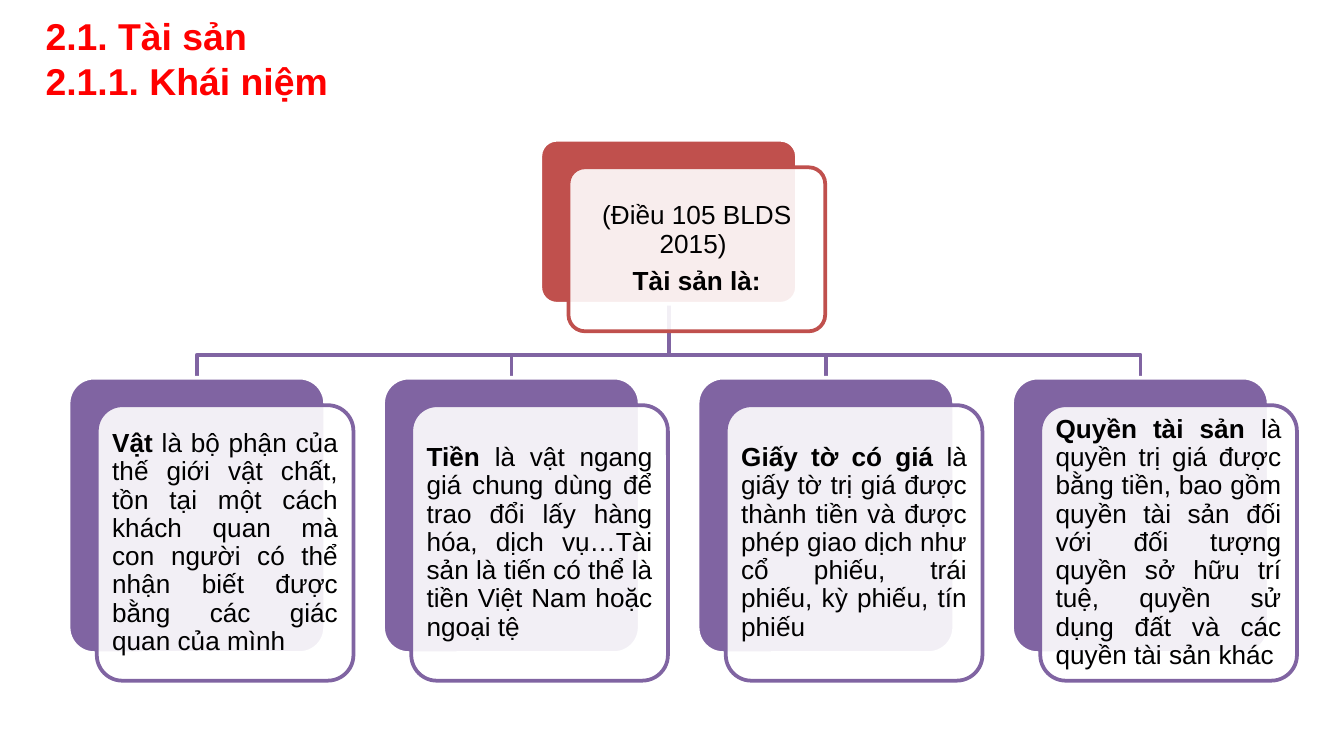
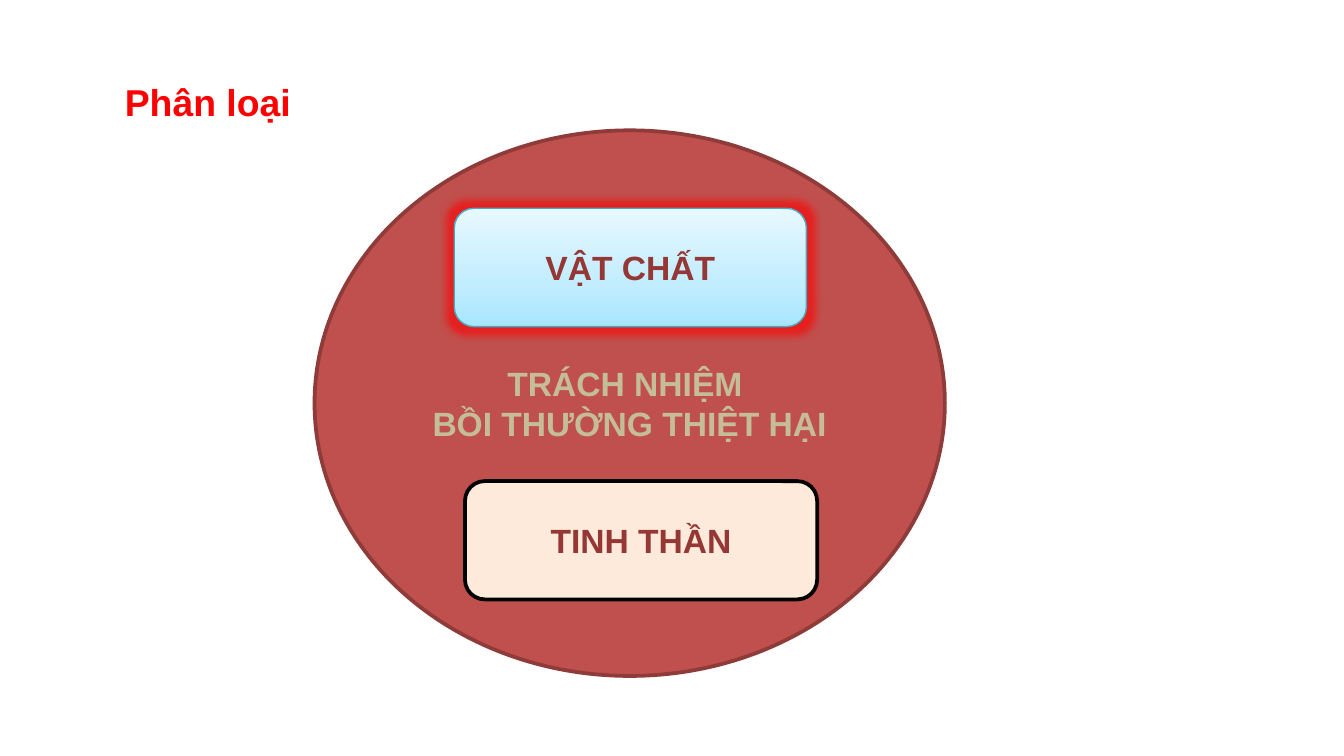
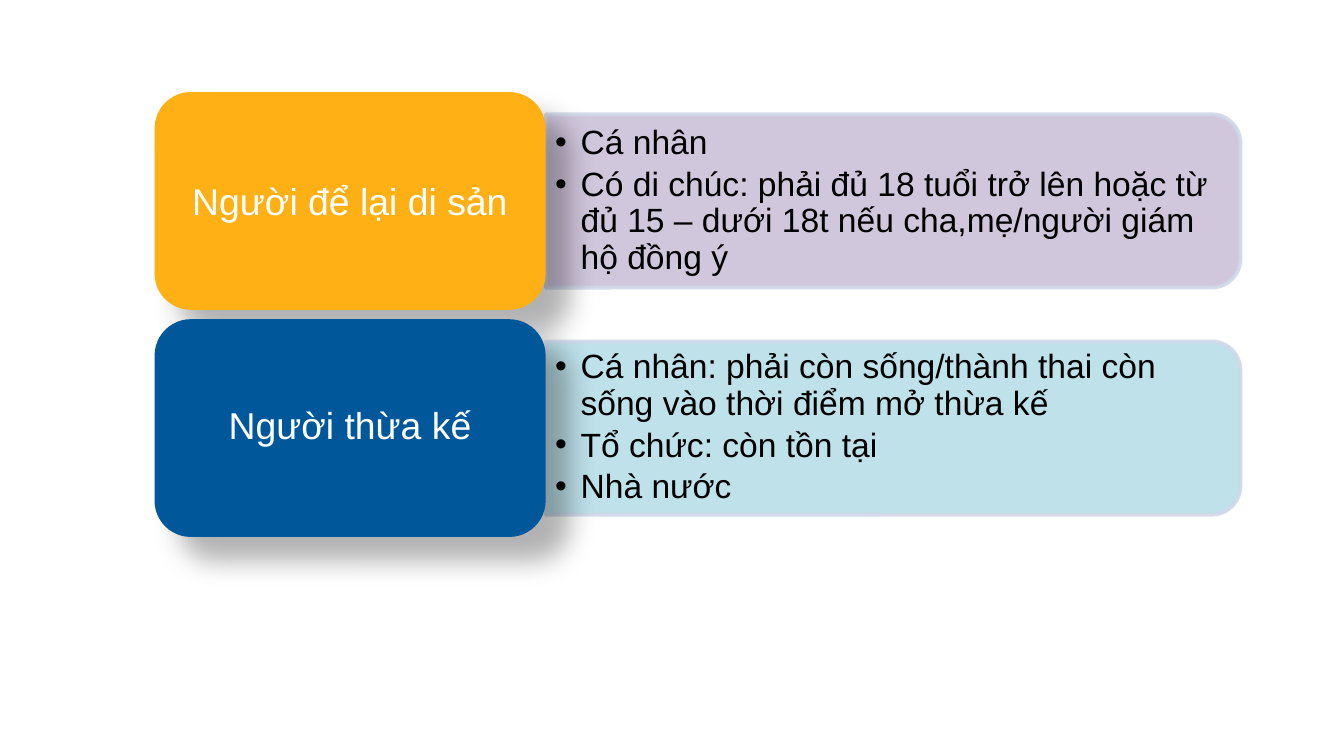
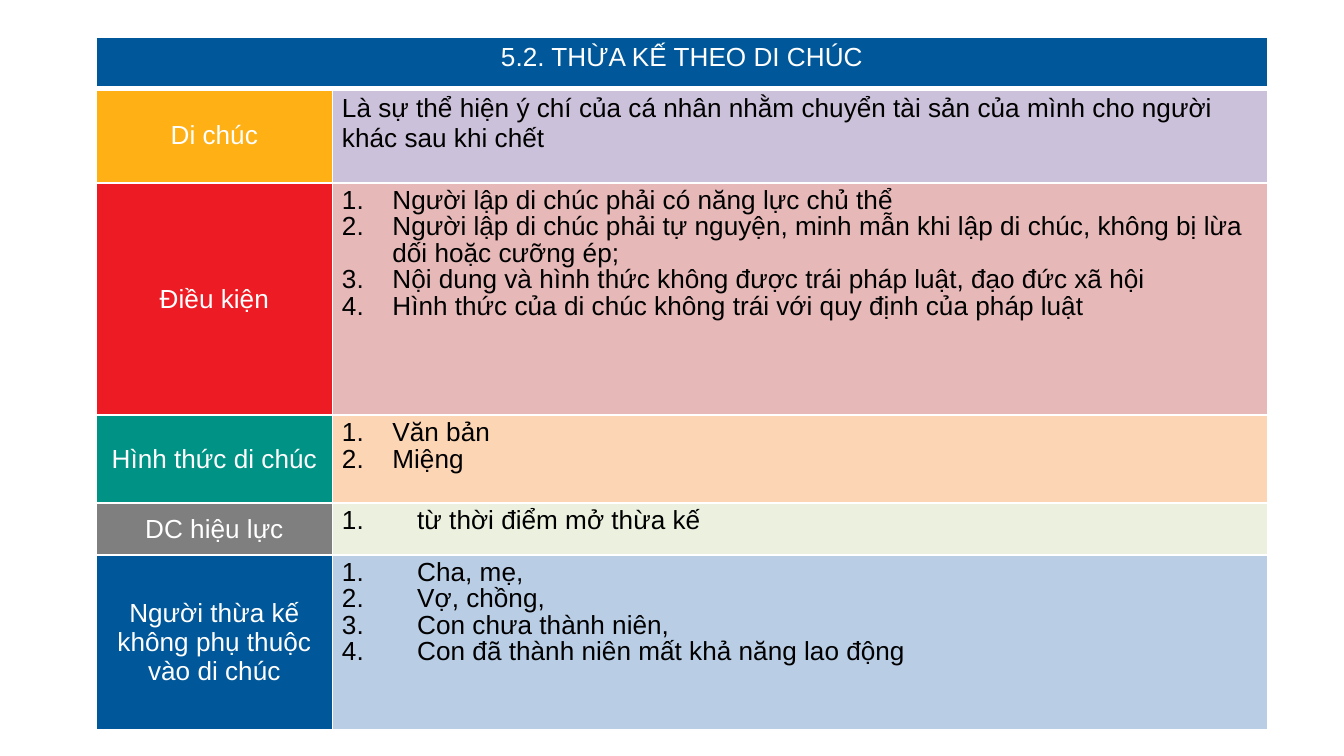
from lxml import etree
from pptx import Presentation
from pptx.dml.color import RGBColor
from pptx.enum.shapes import MSO_SHAPE
from pptx.enum.text import MSO_ANCHOR, PP_ALIGN
from pptx.oxml.ns import qn
from pptx.util import Emu, Pt

ROUND = MSO_SHAPE.ROUNDED_RECTANGLE
ROUND_TOP = MSO_SHAPE.ROUND_2_SAME_RECTANGLE
OVAL = MSO_SHAPE.OVAL
LEFT, CENTER, JUSTIFY = PP_ALIGN.LEFT, PP_ALIGN.CENTER, PP_ALIGN.JUSTIFY
TOP, MIDDLE = MSO_ANCHOR.TOP, MSO_ANCHOR.MIDDLE

EMU_PER_PX = 4572  # 200 px to the inch
FONT = "Arial"
BLACK, WHITE, RED = "000000", "FFFFFF", "FF0000"
BRICK, PURPLE, WINE = "C0504D", "8064A2", "953735"
BLUE, AMBER, LILAC = "00589A", "FFB014", "CCC1DA"


def px(n):
    return Emu(round(n * EMU_PER_PX))


def rgb(value):
    return RGBColor.from_string(value)


def add(parent, tag, **attrs):
    el = etree.SubElement(parent, qn(tag))
    for name, value in attrs.items():
        el.set(name, str(value))
    return el


def add_color(parent, value, alpha=100):
    clr = add(parent, "a:srgbClr", val=value)
    if alpha < 100:
        add(clr, "a:alpha", val=alpha * 1000)


def set_alpha(sp, where, percent):
    clr = sp._element.spPr.find(f"{where}/{qn('a:srgbClr')}")
    add(clr, "a:alpha", val=percent * 1000)


class Deck:
    def __init__(self):
        self.prs = Presentation()
        self.prs.slide_width, self.prs.slide_height = px(2000), px(1125)
        self.s = None

    def new_slide(self):
        self.s = self.prs.slides.add_slide(self.prs.slide_layouts[6])

    def put_paras(self, tf, paras, size=14, color=BLACK, bold=False, align=LEFT,
                  spacing=None, after=None, bullet=None, indent=0, level=0):
        """Each paragraph is a string or a list of (text, bold) runs."""
        for i, para in enumerate(paras):
            p = tf.paragraphs[0] if i == 0 else tf.add_paragraph()
            p.alignment, p.level = align, level
            if spacing:
                p.line_spacing = spacing
            if after:
                p.space_after = Pt(after)
            if bullet:
                pPr = p._p.get_or_add_pPr()
                pPr.set("marL", str(px(indent)))
                pPr.set("indent", str(-px(indent)))
                add_color(add(pPr, "a:buClr"), BLACK)
                add(pPr, "a:buFont", typeface=FONT)
                if bullet == "1.":
                    add(pPr, "a:buAutoNum", type="arabicPeriod")
                else:
                    add(pPr, "a:buChar", char=bullet)
            p.font.name, p.font.size = FONT, Pt(size)
            p.font.color.rgb = rgb(color)
            if isinstance(para, str):
                p.font.bold = bold
                p.text = para
            else:
                for text, run_bold in para:
                    r = p.add_run()
                    r.text, r.font.bold = text, run_bold

    def text(self, x, y, w, h, paras, inset=(20, 10), anchor=TOP, **style):
        tf = self.s.shapes.add_textbox(px(x), px(y), px(w), px(h)).text_frame
        tf.word_wrap, tf.vertical_anchor = True, anchor
        tf.margin_left = tf.margin_right = px(inset[0])
        tf.margin_top = tf.margin_bottom = px(inset[1])
        self.put_paras(tf, paras, **style)

    def title(self, x, y, text, inset=(20, 10)):
        self.text(x, y, 1850, 126, [text], inset, size=20, color=RED, bold=True)

    def shape(self, kind, x, y, w, h, fill, line=None, width=2, adj=None,
              paras=(), **style):
        sp = self.s.shapes.add_shape(kind, px(x), px(y), px(w), px(h))
        sp.shadow.inherit = False
        if adj is not None:
            sp.adjustments[0] = adj
        sp.fill.solid()
        sp.fill.fore_color.rgb = rgb(fill)
        if line:
            sp.line.color.rgb = rgb(line)
            sp.line.width = Pt(width)
        else:
            sp.line.fill.background()
        sp.text_frame.vertical_anchor = MIDDLE
        self.put_paras(sp.text_frame, paras, align=CENTER, **style)
        return sp

    def effect(self, sp, tag, color, alpha, **attrs):
        effects = sp._element.spPr.find(qn("a:effectLst"))
        add_color(add(effects, tag, **attrs), color, alpha)

    def gradient(self, sp, stops):
        sp.fill.gradient()
        sp.fill.gradient_angle = 90
        gs_list = sp._element.spPr.find(f"{qn('a:gradFill')}/{qn('a:gsLst')}")
        for gs in list(gs_list):
            gs_list.remove(gs)
        for pos, color in stops:
            add_color(add(gs_list, "a:gs", pos=pos * 1000), color)

    def polyline(self, points, color, width=2):
        (x, y), *rest = [(px(a), px(b)) for a, b in points]
        builder = self.s.shapes.build_freeform(x, y)
        builder.add_line_segments(rest, close=False)
        sp = builder.convert_to_shape()
        sp.shadow.inherit = False
        sp.fill.background()
        sp.line.color.rgb = rgb(color)
        sp.line.width = Pt(width)

    def card(self, x, y, w, h, color, inset, paras, align):
        """Solid back plate, translucent front plate and its text."""
        self.shape(ROUND, x, y, w, h, color, WHITE, adj=0.1)
        x, y = x + 42, y + 41
        front = self.shape(ROUND, x, y, w, h, WHITE, color, adj=0.1)
        set_alpha(front, qn("a:solidFill"), 90)
        self.text(x + inset, y + inset, w - 2 * inset, h - 2 * inset, paras,
                  (12, 12), MIDDLE, align=align, spacing=0.9, after=5)

    def heir_row(self, y, label, color, tint, items, spacing):
        """Label block with a bullet panel to its right."""
        x, w, h = 812, 1034, 258
        panel_y = y + 33
        # The panel is an upright shape turned by 90 degrees about its centre
        panel = self.shape(ROUND_TOP, x + (w - h) // 2, panel_y - (w - h) // 2,
                           h, w, tint, "D0D8E8")
        panel.rotation = 90
        set_alpha(panel, qn("a:solidFill"), 90)
        set_alpha(panel, f"{qn('a:ln')}/{qn('a:solidFill')}", 90)
        self.text(x, panel_y + 12, 1022, 234, items, (14, 8), MIDDLE, size=18,
                  spacing=0.9, after=3, bullet="•", indent=38, level=1)
        block = self.shape(ROUND, 230, y, 582, 324, color)
        self.effect(block, "a:outerShdw", BLACK, 30, blurRad=Pt(15),
                    dist=Pt(18), dir=45 * 60000, algn="ctr", rotWithShape=0)
        self.text(246, y + 15, 550, 292, [label], (16, 8), MIDDLE, size=20,
                  color=WHITE, align=CENTER, spacing=spacing, after=7)

    def cell(self, cell, fill, paras, anchor=TOP, bottom=1, **style):
        cell.margin_left = cell.margin_right = px(14)
        cell.margin_top = cell.margin_bottom = px(8)
        cell.vertical_anchor = anchor
        self.put_paras(cell.text_frame, paras, **style)
        tcPr = cell._tc.get_or_add_tcPr()
        for side in "LRTB":
            width = bottom if side == "B" else 1
            ln = add(tcPr, f"a:ln{side}", w=Pt(width))
            add_color(add(ln, "a:solidFill"), WHITE)
        cell.fill.solid()
        cell.fill.fore_color.rgb = rgb(fill)

    def table(self, x, y, cols, heights, header, rows):
        tbl = self.s.shapes.add_table(len(heights), len(cols), px(x), px(y),
                                      px(sum(cols)), px(sum(heights))).table
        tbl.first_row = tbl.horz_banding = False
        for col, w in zip(tbl.columns, cols):
            col.width = px(w)
        for row, h in zip(tbl.rows, heights):
            row.height = px(h)
        tbl.cell(0, 0).merge(tbl.cell(0, 1))
        self.cell(tbl.cell(0, 0), BLUE, [header], bottom=3, color=WHITE,
                  align=CENTER)
        self.cell(tbl.cell(0, 1), BLUE, [], bottom=3)
        for i, (label, color, tint, indent, items) in enumerate(rows, 1):
            numbered = dict(bullet="1.", indent=indent, spacing=0.9) if indent else {}
            self.cell(tbl.cell(i, 0), color, [label], MIDDLE, color=WHITE,
                      align=CENTER)
            self.cell(tbl.cell(i, 1), tint, items, **numbered)


def asset_slide(d):
    d.new_slide()
    d.title(48, 0, "2.1. Tài sản\v2.1.1. Khái niệm", (20, 20))
    kinds = [
        ("Vật ", "là bộ phận của thế giới vật chất, tồn tại một cách khách quan "
                 "mà con người có thể nhận biết được bằng các giác quan của mình"),
        ("Tiền ", "là vật ngang giá chung dùng để trao đổi lấy hàng hóa, dịch "
                  "vụ…Tài sản là tiến có thể là tiền Việt Nam hoặc ngoại tệ"),
        ("Giấy tờ có giá ", "là giấy tờ trị giá được thành tiền và được phép giao "
                            "dịch như cổ phiếu, trái phiếu, kỳ phiếu, tín phiếu"),
        ("Quyền tài sản ", "là quyền trị giá được bằng tiền, bao gồm quyền tài sản "
                           "đối với đối tượng quyền sở hữu trí tuệ, quyền sử dụng "
                           "đất và các quyền tài sản khác "),
    ]
    left, step, w, y = 102, 468, 382, 562
    # Branches from the root to each kind
    for i in range(len(kinds)):
        x = left + i * step + w // 2
        d.polyline([(996, 452), (996, 528), (x, 528), (x, y)], PURPLE)
    # Root and kinds
    d.card(804, 208, w, 244, BRICK, 7,
           [[("(Điều 105 BLDS 2015) ", False)], [("Tài sản là:", True)]], CENTER)
    for i, (term, meaning) in enumerate(kinds):
        d.card(left + i * step, y, w, 410, PURPLE, 11,
               [[(term, True), (meaning, False)]], JUSTIFY)


def liability_slide(d):
    d.new_slide()
    d.shape(OVAL, 468, 194, 938, 812, BRICK, "8E3B39", size=18, color="C4BD97",
            bold=True, paras=["TRÁCH NHIỆM ", "BỒI THƯỜNG THIỆT HẠI"])
    material = d.shape(ROUND, 676, 310, 524, 176, "C1EDFF", "46AAC5", 0.75,
                       paras=["VẬT CHẤT"], size=18, color=WINE, bold=True)
    d.gradient(material, [(0, "A7E6FF"), (35, "C1EDFF"), (100, "E7F8FF")])
    d.effect(material, "a:glow", RED, 60, rad=Pt(8))
    d.shape(ROUND, 692, 716, 524, 176, "FDEADA", BLACK,
            paras=["TINH THẦN"], size=18, color=WINE, bold=True)
    d.title(166, 108, "Phân loại")


def heirs_slide(d):
    d.new_slide()
    d.heir_row(137, "Người để lại di sản", AMBER, LILAC, [
        "Cá nhân",
        "Có di chúc: phải đủ 18 tuổi trở lên hoặc từ đủ 15 – dưới 18t nếu "
        "cha,mẹ/người giám hộ đồng ý"], None)
    d.heir_row(475, "Người thừa kế", BLUE, "B7DEE8", [
        "Cá nhân: phải còn sống/thành thai còn sống vào thời điểm mở thừa kế",
        "Tổ chức: còn tồn tại",
        "Nhà nước"], 0.9)


def will_slide(d):
    d.new_slide()
    # Label, label colour, tint, number indent, content
    rows = [
        ("Di chúc", AMBER, LILAC, 0, [
            "Là sự thể hiện ý chí của cá nhân nhằm chuyển tài sản của mình cho "
            "người khác sau khi chết"]),
        ("Điều kiện", "ED1C24", "E6B9B8", 75, [
            "Người lập di chúc phải có năng lực chủ thể",
            "Người lập di chúc phải tự nguyện, minh mẫn khi lập di chúc, không bị "
            "lừa dối hoặc cưỡng ép;",
            "Nội dung và hình thức không được trái pháp luật, đạo đức xã hội",
            "Hình thức của di chúc không trái với quy định của pháp luật"]),
        ("Hình thức di chúc", "009284", "FCD5B5", 75, ["Văn bản", "Miệng"]),
        ("DC hiệu lực", "7F7F7F", "EBF1DE", 112, ["từ thời điểm mở thừa kế"]),
        ("Người thừa kế không phụ thuộc vào di chúc", BLUE, "B9CDE5", 112, [
            "Cha, mẹ,", "Vợ, chồng,", "Con chưa thành niên,",
            "Con đã thành niên mất khả năng lao động"]),
    ]
    d.table(143, 55, [352, 1392], [77, 140, 346, 131, 77, 260],
            "5.2. THỪA KẾ THEO DI CHÚC", rows)


def main():
    d = Deck()
    asset_slide(d)
    liability_slide(d)
    heirs_slide(d)
    will_slide(d)
    d.prs.save("out.pptx")


if __name__ == "__main__":
    main()
